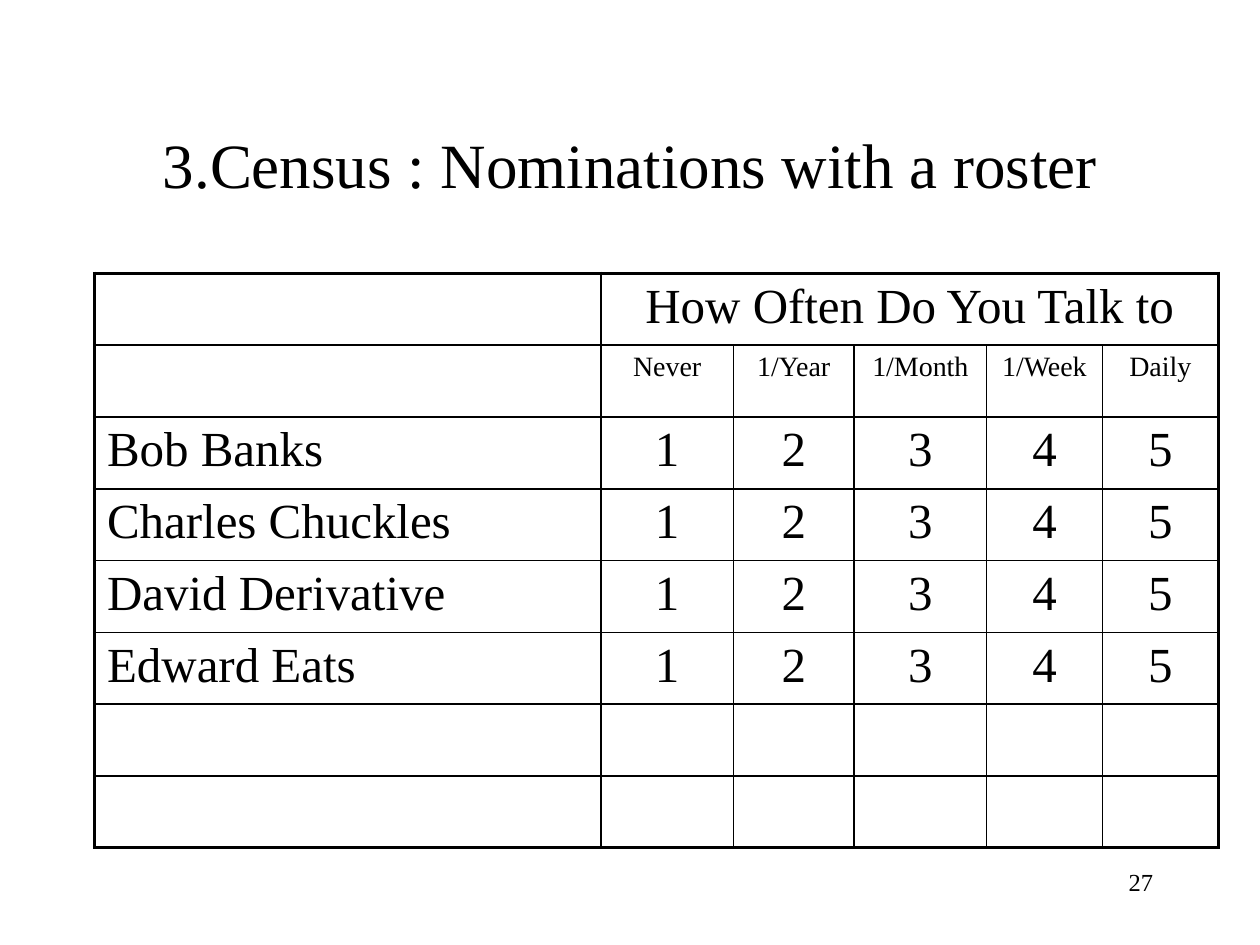
import pptx
import pptx.dml.color
import pptx.enum.text
import pptx.oxml
import pptx.oxml.ns
import pptx.util

Inches = pptx.util.Inches
Pt = pptx.util.Pt
Align = pptx.enum.text.PP_ALIGN
Anchor = pptx.enum.text.MSO_ANCHOR

COLORS = {"ink": "000000", "paper": "FFFFFF"}
FONT = "Times New Roman"
THIN, THICK = 1, 2.25

NAMES = ["Bob Banks", "Charles Chuckles", "David Derivative", "Edward Eats"]
FREQUENCIES = ["Never", "1/Year", "1/Month", "1/Week", "Daily"]
COLUMN_WIDTHS = [4.02, 1.05, 0.96, 1.05, 0.92, 0.92]
ROW_HEIGHT = 0.57


class RosterSlide:
    """Holds the style and the current slide."""

    def __init__(self, deck):
        self.slide = deck.slides.add_slide(deck.slide_layouts[6])
        background = self.slide.background.fill
        background.solid()
        background.fore_color.rgb = self.color("paper")

    def color(self, name):
        return pptx.dml.color.RGBColor.from_string(COLORS[name])

    def fill_text(self, frame, text, size, align):
        frame.text = text
        para = frame.paragraphs[0]
        para.alignment = align
        for span in para.runs:
            span.font.name = FONT
            span.font.size = Pt(size)
            span.font.color.rgb = self.color("ink")

    def text(self, left, top, width, height, text, size, align, anchor=Anchor.TOP):
        box = self.slide.shapes.add_textbox(
            Inches(left), Inches(top), Inches(width), Inches(height))
        box.text_frame.word_wrap = True
        box.text_frame.vertical_anchor = anchor
        self.fill_text(box.text_frame, text, size, align)

    def border(self, cell, side, width):
        line = pptx.oxml.parse_xml(
            f'<a:ln{side} {pptx.oxml.ns.nsdecls("a")} w="{Pt(width)}">'
            f'<a:solidFill><a:srgbClr val="{COLORS["ink"]}"/></a:solidFill>'
            f'</a:ln{side}>')
        cell._tc.get_or_add_tcPr().append(line)

    def table(self, left, top, widths, row_height, rows):
        table = self.slide.shapes.add_table(
            len(rows), len(widths), Inches(left), Inches(top),
            Inches(sum(widths)), Inches(row_height * len(rows))).table
        table.first_row = table.horz_banding = False
        for column, width in zip(table.columns, widths):
            column.width = Inches(width)
        last_row, last_column = len(rows) - 1, len(widths) - 1
        for r, (size, values) in enumerate(rows):
            table.rows[r].height = Inches(row_height)
            for c, value in enumerate(values):
                cell = table.cell(r, c)
                align = Align.CENTER if c else Align.LEFT
                self.fill_text(cell.text_frame, value, size, align)
                # Thick outer frame, thin inner grid
                outer = {"L": c == 0, "R": c == last_column,
                         "T": r == 0, "B": r == last_row}
                for side, is_outer in outer.items():
                    self.border(cell, side, THICK if is_outer else THIN)
                cell.fill.background()
        return table


def main():
    deck = pptx.Presentation()
    deck.slide_width, deck.slide_height = Inches(10), Inches(7.5)
    page = RosterSlide(deck)

    # Page number and title
    page.text(7.17, 6.83, 2.08, 0.5, "27", 14, Align.RIGHT)
    page.text(0.75, 0.67, 8.5, 1.25, "3.Census : Nominations with a roster",
              36, Align.CENTER, Anchor.MIDDLE)

    # Roster: heading, scale, one row per name, two blank rows
    scores = [str(score) for score in range(1, len(FREQUENCIES) + 1)]
    blank = [""] * len(COLUMN_WIDTHS)
    rows = [(28, ["", "How Often Do You Talk to"] + blank[2:]),
            (16, [""] + FREQUENCIES)]
    rows += [(28, [name] + scores) for name in NAMES]
    rows += [(28, blank)] * 2
    table = page.table(0.75, 2.17, COLUMN_WIDTHS, ROW_HEIGHT, rows)
    heading = table.cell(0, 1)
    heading.merge(table.cell(0, len(FREQUENCIES)))
    # The merged heading reaches the outer frame on its right
    properties = heading._tc.tcPr
    properties.find(pptx.oxml.ns.qn("a:lnR")).set("w", str(Pt(THICK)))

    deck.save("out.pptx")


if __name__ == "__main__":
    main()
